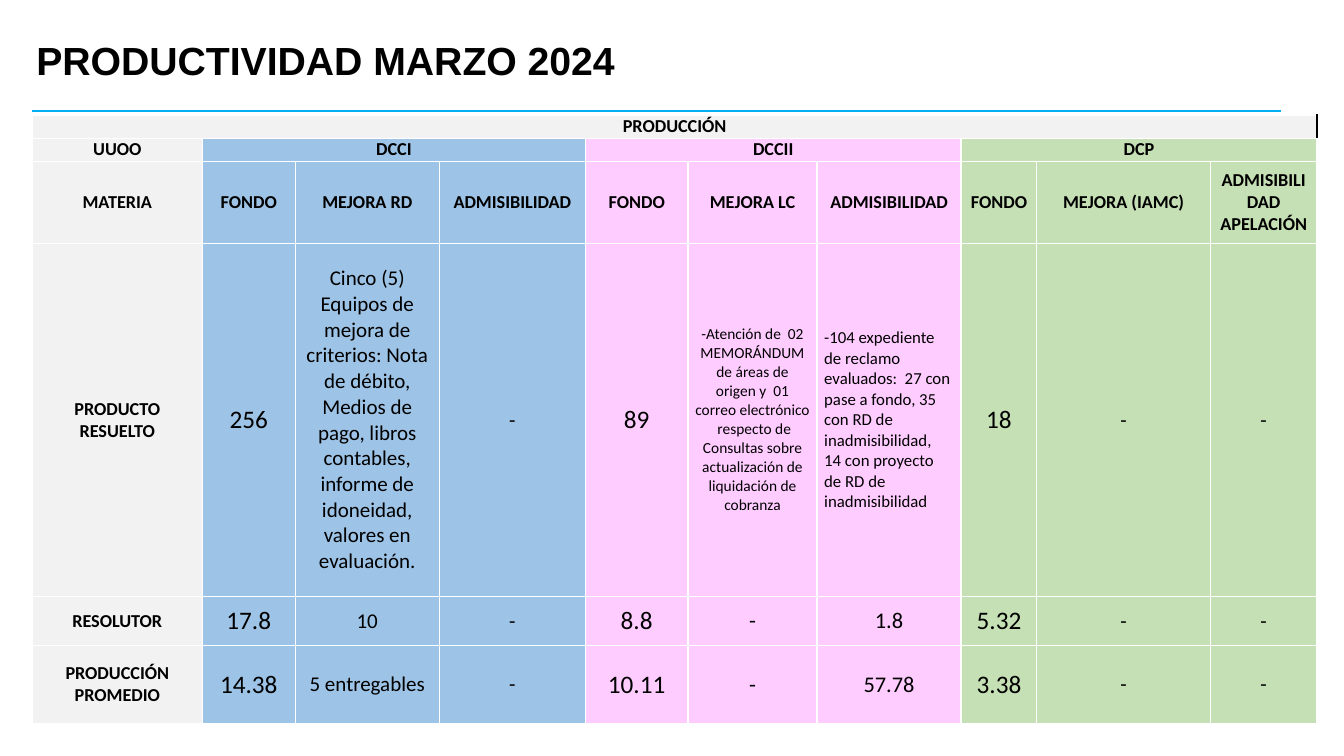
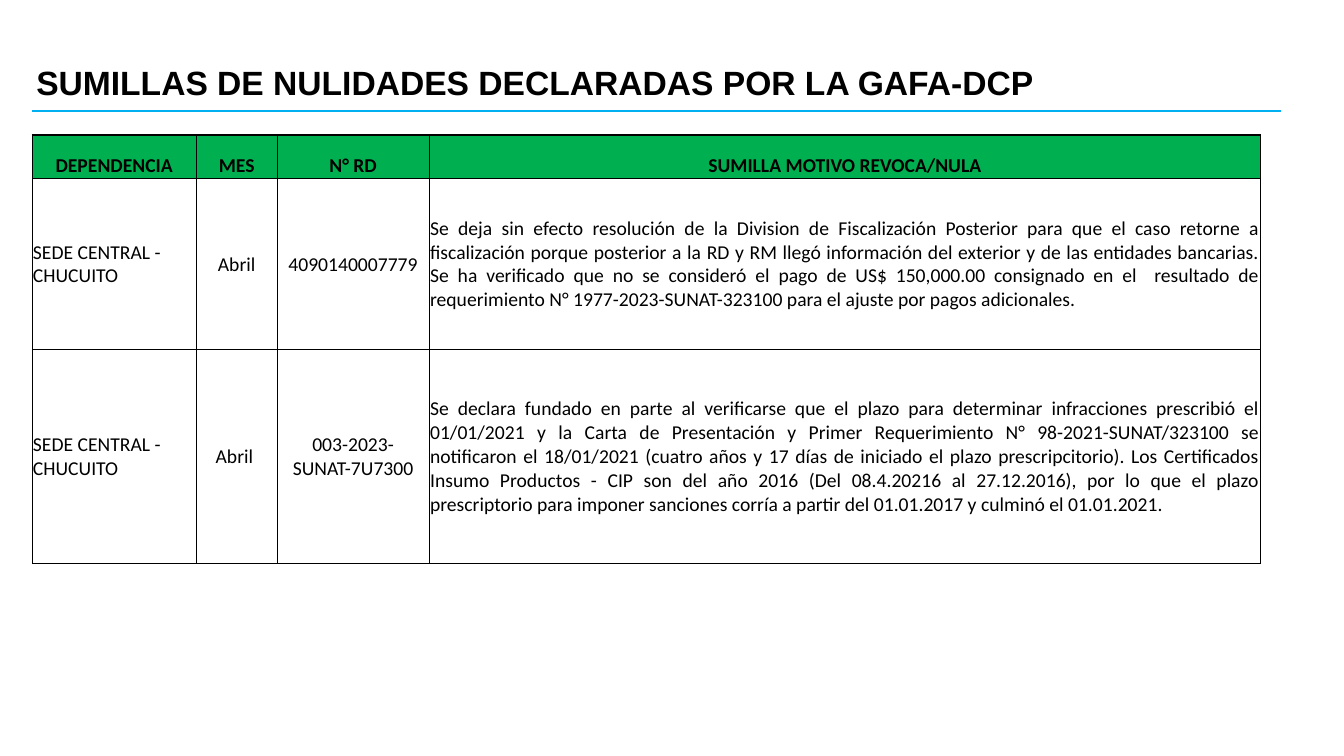
from lxml import etree
from pptx import Presentation
from pptx.dml.color import RGBColor
from pptx.enum.shapes import MSO_CONNECTOR
from pptx.enum.text import MSO_ANCHOR, MSO_AUTO_SIZE, PP_ALIGN
from pptx.oxml.ns import qn
from pptx.util import Cm, Pt

LEFT, CENTER, JUSTIFY = PP_ALIGN.LEFT, PP_ALIGN.CENTER, PP_ALIGN.JUSTIFY
MIDDLE, BOTTOM = MSO_ANCHOR.MIDDLE, MSO_ANCHOR.BOTTOM
STRAIGHT = MSO_CONNECTOR.STRAIGHT
NO_FIT = MSO_AUTO_SIZE.NONE

# Shared look
BLACK, WHITE, RULE = "000000", "FFFFFF", "00B0F0"
GREY, BLUE, PINK, LIME, GREEN = "F2F2F2", "9DC3E6", "FFCCFF", "C5E0B4", "00B050"
TITLE_FONT, BODY_FONT = "Arial", "Calibri"
MARGIN = 0.81
TITLE_ONLY = 5


def rgb(hex_color):
    return RGBColor.from_string(hex_color)


def add_text(tf, text, font, size, bold, align):
    p = tf.paragraphs[0]
    p.alignment = align
    r = p.add_run()
    r.text = text
    r.font.name, r.font.size, r.font.bold = font, Pt(size), bold
    r.font.color.rgb = rgb(BLACK)
    return p


def add_titled_slide(prs, title, top, height, size):
    """Title and the blue rule below it."""
    s = prs.slides.add_slide(prs.slide_layouts[TITLE_ONLY])
    rule = s.shapes.add_connector(STRAIGHT, Cm(MARGIN), Cm(2.79), Cm(32.28), Cm(2.79))
    rule.line.color.rgb = rgb(RULE)
    rule.line.width = Pt(1.5)
    etree.SubElement(rule._element.spPr, qn("a:effectLst"))

    sp = s.shapes.title
    sp.left, sp.top, sp.width, sp.height = Cm(0.66), Cm(top), Cm(29.21), Cm(height)
    tf = sp.text_frame
    tf.auto_size, tf.word_wrap, tf.vertical_anchor = NO_FIT, True, MIDDLE
    add_text(tf, title, TITLE_FONT, size, True, LEFT).line_spacing = 0.9
    return s


def add_grid(s, left, top, cols, rows):
    """Empty table with the given column widths and row heights."""
    frame = s.shapes.add_table(len(rows), len(cols), Cm(left), Cm(top),
                               Cm(sum(cols)), Cm(sum(rows)))
    table = frame.table
    table.first_row = table.horz_banding = False
    for col, width in zip(table.columns, cols):
        col.width = Cm(width)
    for row, height in zip(table.rows, rows):
        row.height = Cm(height)
    return table


def style_cell(cell, fill, borders, margins, anchor):
    """borders: (color, points) for left, right, top, bottom."""
    tcPr = cell._tc.get_or_add_tcPr()
    for side, (color, points) in zip("LRTB", borders):
        ln = etree.SubElement(tcPr, qn("a:ln" + side), w=str(int(Pt(points))))
        solid = etree.SubElement(ln, qn("a:solidFill"))
        etree.SubElement(solid, qn("a:srgbClr"), val=color)
    if fill:
        cell.fill.solid()
        cell.fill.fore_color.rgb = rgb(fill)
    else:
        cell.fill.background()
    (cell.margin_left, cell.margin_right,
     cell.margin_top, cell.margin_bottom) = (Cm(m) for m in margins)
    cell.vertical_anchor = anchor


def add_production_table(s, left, top):
    cols = [4.29, 2.34, 3.63, 3.68, 2.59, 3.25, 3.63, 1.91, 4.37, 2.69]
    rows = [0.58, 0.58, 2.08, 8.89, 1.24, 1.96]
    fills = [GREY] + [BLUE] * 3 + [PINK] * 3 + [LIME] * 3
    texts = [
        ["PRODUCCIÓN"] + [""] * 9,
        ["UUOO", "DCCI", "", "", "DCCII", "", "", "DCP", "", ""],
        ["MATERIA", "FONDO", "MEJORA RD", "ADMISIBILIDAD", "FONDO", "MEJORA LC",
         "ADMISIBILIDAD", "FONDO", "MEJORA (IAMC)", "ADMISIBILIDAD APELACIÓN"],
        ["PRODUCTO RESUELTO", "256",
         "Cinco (5) Equipos de mejora de criterios: Nota de débito, Medios de pago, "
         "libros contables, informe de idoneidad, valores en evaluación.",
         "-", "89",
         "-Atención de  02 MEMORÁNDUM de áreas de origen y  01 correo electrónico  "
         "respecto de Consultas sobre actualización de liquidación de cobranza",
         "-104 expediente de reclamo evaluados:  27 con pase a fondo, 35 con RD de "
         "inadmisibilidad,  14 con proyecto de RD de inadmisibilidad",
         "18", "-", "-"],
        ["RESOLUTOR", "17.8", "10", "-", "8.8", "-", "1.8", "5.32", "-", "-"],
        ["PRODUCCIÓN PROMEDIO", "14.38", "5 entregables", "-", "10.11", "-", "57.78",
         "3.38", "-", "-"],
    ]
    header_rows, notes_row, evaluated_col = 3, 3, 6
    value_sizes = [13, 18, 15, 15, 18, 16, 16, 18, 15, 15]
    note_sizes = value_sizes[:5] + [11, 12] + value_sizes[7:]

    table = add_grid(s, left, top, cols, rows)
    white = (WHITE, 1)
    for i, row in enumerate(texts):
        sizes = note_sizes if i == notes_row else value_sizes
        for j, text in enumerate(row):
            cell = table.cell(i, j)
            right = (BLACK, 1) if i == 0 else white
            style_cell(cell, GREY if i == 0 else fills[j], [white, right, white, white],
                       (0.18, 0.18, 0, 0), MIDDLE)
            if text:
                heading = i < header_rows or j == 0
                align = LEFT if (i, j) == (notes_row, evaluated_col) else CENTER
                add_text(cell.text_frame, text, BODY_FONT,
                         13 if heading else sizes[j], heading, align)

    # Table heading and the three divisions
    table.cell(0, 0).merge(table.cell(0, 9))
    for j in (1, 4, 7):
        table.cell(1, j).merge(table.cell(1, j + 2))


def add_rulings_table(s, left, top):
    cols = [4.14, 2.03, 3.84, 20.95]
    rows = [1.09, 4.32, 5.38]
    aligns = [LEFT, CENTER, CENTER, JUSTIFY]
    texts = [
        ["DEPENDENCIA", "MES", "N° RD", "SUMILLA MOTIVO REVOCA/NULA"],
        ["SEDE CENTRAL - CHUCUITO", "Abril", "4090140007779",
         "Se deja sin efecto resolución de la Division de Fiscalización Posterior para "
         "que el caso retorne a fiscalización porque posterior a la RD y RM llegó "
         "información del exterior y de las entidades bancarias. Se ha verificado que no "
         "se consideró el pago de US$ 150,000.00 consignado en el  resultado de "
         "requerimiento N° 1977-2023-SUNAT-323100 para el ajuste por pagos adicionales."],
        ["SEDE CENTRAL - CHUCUITO", "Abril ", "003-2023-SUNAT-7U7300",
         "Se declara fundado en parte al verificarse que el plazo para determinar "
         "infracciones prescribió el 01/01/2021 y la Carta de Presentación y Primer "
         "Requerimiento N° 98-2021-SUNAT/323100 se notificaron el 18/01/2021 (cuatro años "
         "y 17 días de iniciado el plazo prescripcitorio). Los Certificados Insumo "
         "Productos - CIP son del año 2016 (Del 08.4.20216 al 27.12.2016), por lo que el "
         "plazo prescriptorio para imponer sanciones corría a partir del 01.01.2017 y "
         "culminó el 01.01.2021."],
    ]
    table = add_grid(s, left, top, cols, rows)
    thin, thick = (BLACK, 0.5), (BLACK, 1)
    last = len(cols) - 1
    for i, row in enumerate(texts):
        header = i == 0
        for j, text in enumerate(row):
            cell = table.cell(i, j)
            borders = [thick if header and j == 0 else thin,
                       thick if header and j == last else thin,
                       thick if header else thin, thin]
            style_cell(cell, GREEN if header else None, borders,
                       (0.02, 0.02, 0.02, 0), BOTTOM if header else MIDDLE)
            add_text(cell.text_frame, text, BODY_FONT, 14, header,
                     CENTER if header else aligns[j])


def main():
    prs = Presentation()
    prs.slide_width, prs.slide_height = Cm(33.87), Cm(19.05)

    s = add_titled_slide(prs, "PRODUCTIVIDAD MARZO 2024", 0.69, 1.78, 28)
    add_production_table(s, MARGIN, 2.9)

    s = add_titled_slide(prs, "SUMILLAS DE NULIDADES DECLARADAS POR LA GAFA-DCP",
                         0.94, 2.36, 24)
    add_rulings_table(s, MARGIN, 3.4)

    prs.save("out.pptx")


if __name__ == "__main__":
    main()
